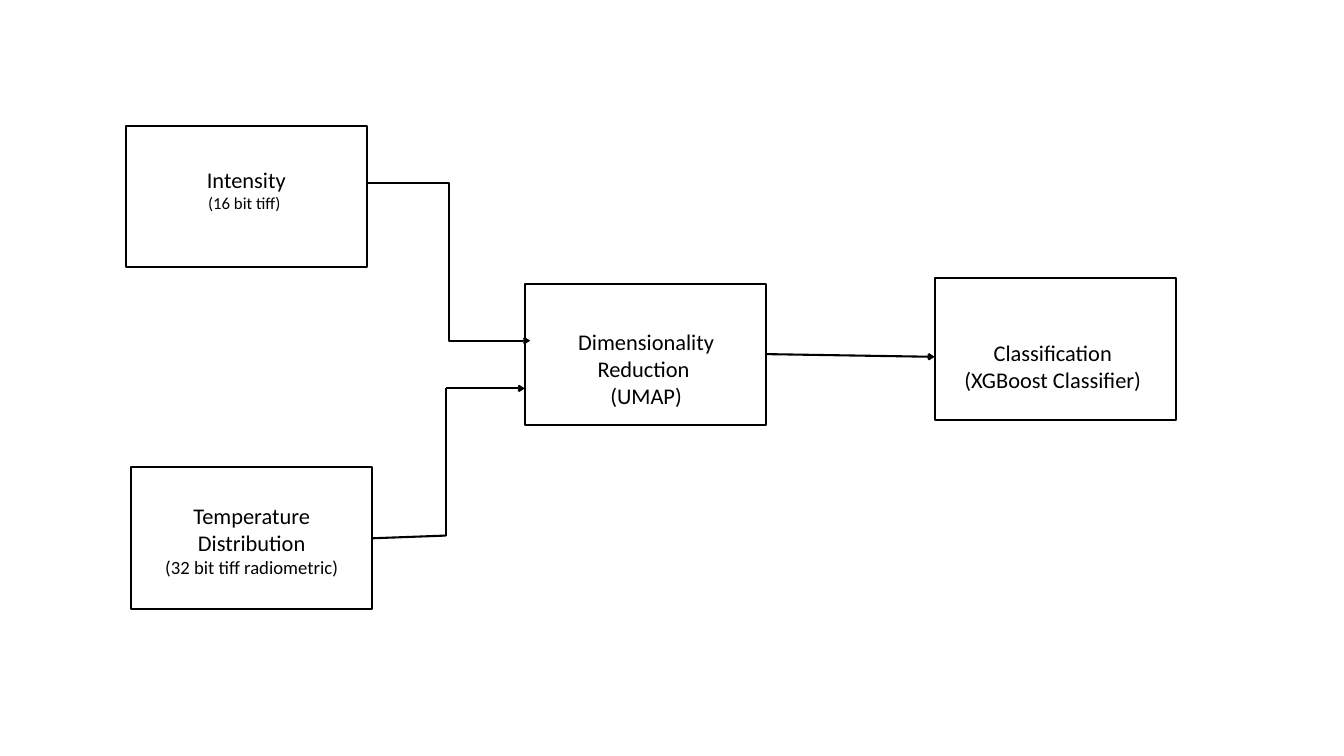
from lxml import etree
from pptx import Presentation
from pptx.dml.color import RGBColor
from pptx.enum.shapes import MSO_CONNECTOR, MSO_SHAPE
from pptx.enum.text import MSO_AUTO_SIZE, PP_ALIGN
from pptx.oxml.ns import qn
from pptx.util import Emu, Pt

RECTANGLE = MSO_SHAPE.RECTANGLE
STRAIGHT, ELBOW = MSO_CONNECTOR.STRAIGHT, MSO_CONNECTOR.ELBOW
CENTER = PP_ALIGN.CENTER
GROW = MSO_AUTO_SIZE.SHAPE_TO_FIT_TEXT

SCALE = 9144
PAGE_SIZE = (2000, 1125)
BOX_SIZE = (359, 211)
BLACK, WHITE = "000000", "FFFFFF"
BOX_LINE, ARROW_LINE = 2, 2.25
FONT = {"name": "Calibri"}

BOXES = [(187, 187), (195, 695), (781, 422), (1391, 414)]

LABELS = [
    ((187, 242, 359, 81), [[("Intensity", 24)], [("(16 bit tiff) ", 18)]]),
    ((195, 742, 359, 125),
     [[("Temperature Distribution", 24), ("(32 bit tiff radiometric)", 20)]]),
    ((805, 484, 313, 131), [[("Dimensionality Reduction ", 24)], [("(UMAP)", 24)]]),
    ((1422, 500, 289, 91), [[("Classification", 24)], [("(XGBoost Classifier)", 24)]]),
]

ARROWS = [
    (ELBOW, [(547, 273), (789, 507)]),
    (STRAIGHT, [(555, 801), (664, 797), (664, 578), (781, 578)]),
    (STRAIGHT, [(1141, 527), (1391, 531)]),
]


def px(*lengths):
    return [Emu(length * SCALE) for length in lengths]


def color(value):
    return RGBColor.from_string(value)


def draw_line(line, width):
    line.color.rgb = color(BLACK)
    line.width = Pt(width)


def add_box(page, corner):
    box = page.shapes.add_shape(RECTANGLE, *px(*corner, *BOX_SIZE))
    box.shadow.inherit = False
    box.fill.solid()
    box.fill.fore_color.rgb = color(WHITE)
    draw_line(box.line, BOX_LINE)


def add_label(page, place, paragraphs):
    frame = page.shapes.add_textbox(*px(*place)).text_frame
    frame.word_wrap = True
    frame.auto_size = GROW
    for index, lines in enumerate(paragraphs):
        para = frame.add_paragraph() if index else frame.paragraphs[0]
        para.alignment = CENTER
        for number, (text, size) in enumerate(lines):
            if number:
                para.add_line_break()
            span = para.add_run()
            span.text = text
            for key, value in {**FONT, "size": Pt(size)}.items():
                setattr(span.font, key, value)
            span.font.color.rgb = color(BLACK)


def add_arrow(page, kind, points):
    for start, end in zip(points, points[1:]):
        connector = page.shapes.add_connector(kind, *px(*start, *end))
        draw_line(connector.line, ARROW_LINE)
        properties = connector._element.spPr
        etree.SubElement(properties, qn("a:effectLst"))
        if end == points[-1]:
            outline = properties.find(qn("a:ln"))
            etree.SubElement(outline, qn("a:tailEnd"), type="arrow")


def main():
    deck = Presentation()
    deck.slide_width, deck.slide_height = px(*PAGE_SIZE)
    page = deck.slides.add_slide(deck.slide_layouts[6])
    for corner in BOXES:
        add_box(page, corner)
    for kind, points in ARROWS:
        add_arrow(page, kind, points)
    for place, paragraphs in LABELS:
        add_label(page, place, paragraphs)
    deck.save("out.pptx")


if __name__ == "__main__":
    main()
